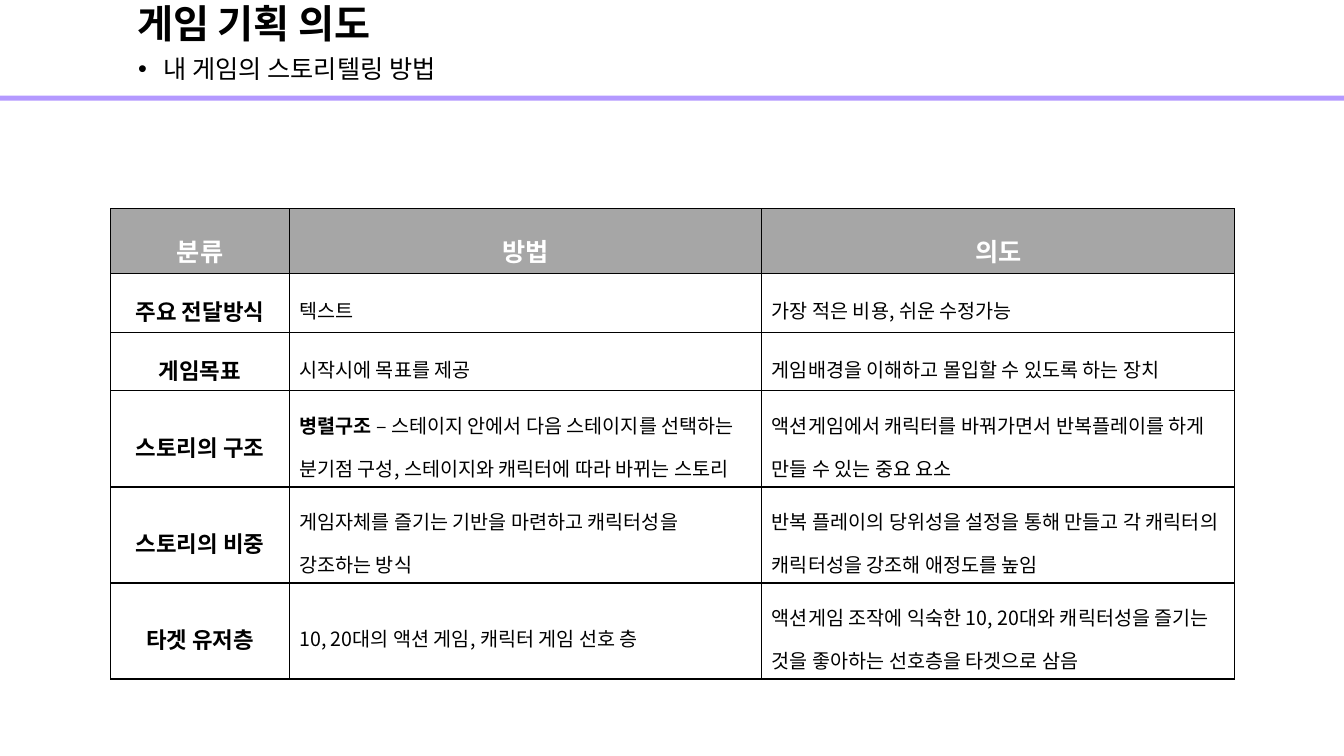
from pptx import Presentation
from pptx.dml.color import RGBColor
from pptx.enum.shapes import MSO_SHAPE
from pptx.enum.text import MSO_ANCHOR, PP_ALIGN
from pptx.oxml import parse_xml
from pptx.oxml.ns import nsdecls, qn
from pptx.oxml.xmlchemy import OxmlElement
from pptx.util import Cm, Pt

FONT = "Noto Sans CJK KR"
BLACK = RGBColor(0x00, 0x00, 0x00)
WHITE = RGBColor(0xFF, 0xFF, 0xFF)
GRAY = RGBColor(0xA6, 0xA6, 0xA6)
PURPLE = RGBColor(0xB4, 0x99, 0xFF)

COLUMN_WIDTHS = [4.5, 11.91, 11.91]
ROW_HEIGHTS = [1.63, 1.48, 1.48, 2.42, 2.42, 2.42]
HEADERS = ["분류", "방법", "의도"]
ROWS = [
    ["주요 전달방식", "텍스트", "가장 적은 비용, 쉬운 수정가능"],
    ["게임목표", "시작시에 목표를 제공",
     "게임배경을 이해하고 몰입할 수 있도록 하는 장치"],
    ["스토리의 구조",
     ("병렬구조 ", "– 스테이지 안에서 다음 스테이지를 선택하는 분기점 구성, "
      "스테이지와 캐릭터에 따라 바뀌는 스토리"),
     "액션게임에서 캐릭터를 바꿔가면서 반복플레이를 하게 만들 수 있는 중요 요소"],
    ["스토리의 비중",
     "게임자체를 즐기는 기반을 마련하고 캐릭터성을 강조하는 방식",
     "반복 플레이의 당위성을 설정을 통해 만들고 각 캐릭터의 캐릭터성을 강조해 애정도를 높임"],
    ["타겟 유저층", "10, 20대의 액션 게임, 캐릭터 게임 선호 층",
     "액션게임 조작에 익숙한 10, 20대와 캐릭터성을 즐기는 것을 좋아하는 선호층을 타겟으로 삼음"],
]


def format_paragraph(p, size, color, bold, align, spacing):
    """Set the font, alignment and line spacing of a paragraph."""
    p.alignment = align
    p.line_spacing = spacing
    p.font.size = Pt(size)
    p.font.bold = bold
    p.font.color.rgb = color
    p.font.name = FONT
    ea = OxmlElement("a:ea")
    ea.set("typeface", FONT)
    p._p.pPr.find(qn("a:defRPr")).append(ea)


def add_rule(slide):
    """Draw the purple band under the heading."""
    sp = slide.shapes.add_shape(MSO_SHAPE.RECTANGLE, 0, Cm(2.41), Cm(33.87), Cm(0.13))
    sp.shadow.inherit = False
    sp.fill.solid()
    sp.fill.fore_color.rgb = PURPLE
    sp.line.fill.background()


def set_title(slide, text):
    """Place and format the title placeholder."""
    sp = slide.shapes.title
    sp.left, sp.top, sp.width, sp.height = Cm(3.2), Cm(0), Cm(28.32), Cm(1.3)
    tf = sp.text_frame
    tf.text = text
    tf.vertical_anchor = MSO_ANCHOR.MIDDLE
    format_paragraph(tf.paragraphs[0], 28, BLACK, True, PP_ALIGN.LEFT, 0.9)


def add_subtitle(slide, text):
    """Add the bulleted line under the title."""
    sp = slide.shapes.add_textbox(Cm(3.23), Cm(1.3), Cm(28.32), Cm(0.94))
    tf = sp.text_frame
    tf.word_wrap = True
    tf.text = text
    p = tf.paragraphs[0]
    pPr = p._p.get_or_add_pPr()
    pPr.set("marL", str(Cm(0.64)))
    pPr.set("indent", str(-Cm(0.64)))
    bullet_font = OxmlElement("a:buFont")
    bullet_font.set("typeface", "Arial")
    bullet = OxmlElement("a:buChar")
    bullet.set("char", "•")
    pPr.extend([bullet_font, bullet])
    format_paragraph(p, 18, BLACK, False, PP_ALIGN.LEFT, 0.9)


def set_borders(cell):
    """Draw a thin black line on every side of a cell."""
    tcPr = cell._tc.get_or_add_tcPr()
    for position, side in enumerate(("lnL", "lnR", "lnT", "lnB")):
        tcPr.insert(position, parse_xml(
            f'<a:{side} {nsdecls("a")} w="{Pt(1)}"><a:solidFill>'
            f'<a:srgbClr val="{BLACK}"/></a:solidFill></a:{side}>'))


def fill_cell(cell, content, size, color, bold, align, fill=None):
    """Write a cell; a pair of texts has a bold lead."""
    cell.vertical_anchor = MSO_ANCHOR.MIDDLE
    if fill is None:
        cell.fill.background()
    else:
        cell.fill.solid()
        cell.fill.fore_color.rgb = fill
    set_borders(cell)
    p = cell.text_frame.paragraphs[0]
    if isinstance(content, tuple):
        for text, run_bold in zip(content, (True, False)):
            r = p.add_run()
            r.text = text
            r.font.bold = run_bold
    else:
        p.add_run().text = content
    format_paragraph(p, size, color, bold, align, 1.5)


def add_story_table(slide):
    """Add the table of storytelling methods and intentions."""
    table = slide.shapes.add_table(
        len(ROW_HEIGHTS), len(COLUMN_WIDTHS), Cm(2.79), Cm(5.26),
        Cm(sum(COLUMN_WIDTHS)), Cm(sum(ROW_HEIGHTS))).table
    for column, width in zip(table.columns, COLUMN_WIDTHS):
        column.width = Cm(width)
    for row, height in zip(table.rows, ROW_HEIGHTS):
        row.height = Cm(height)
    for j, header in enumerate(HEADERS):
        fill_cell(table.cell(0, j), header, 18, WHITE, True, PP_ALIGN.CENTER, GRAY)
    for i, (label, *details) in enumerate(ROWS, 1):
        fill_cell(table.cell(i, 0), label, 16, BLACK, True, PP_ALIGN.CENTER)
        for j, detail in enumerate(details, 1):
            fill_cell(table.cell(i, j), detail, 14, BLACK, False, PP_ALIGN.LEFT)


def main():
    """Build the slide and save it."""
    prs = Presentation()
    prs.slide_width, prs.slide_height = Cm(33.87), Cm(19.05)
    slide = prs.slides.add_slide(prs.slide_layouts[5])
    add_rule(slide)
    set_title(slide, "게임 기획 의도")
    add_subtitle(slide, "내 게임의 스토리텔링 방법")
    add_story_table(slide)
    prs.save("out.pptx")


if __name__ == "__main__":
    main()
